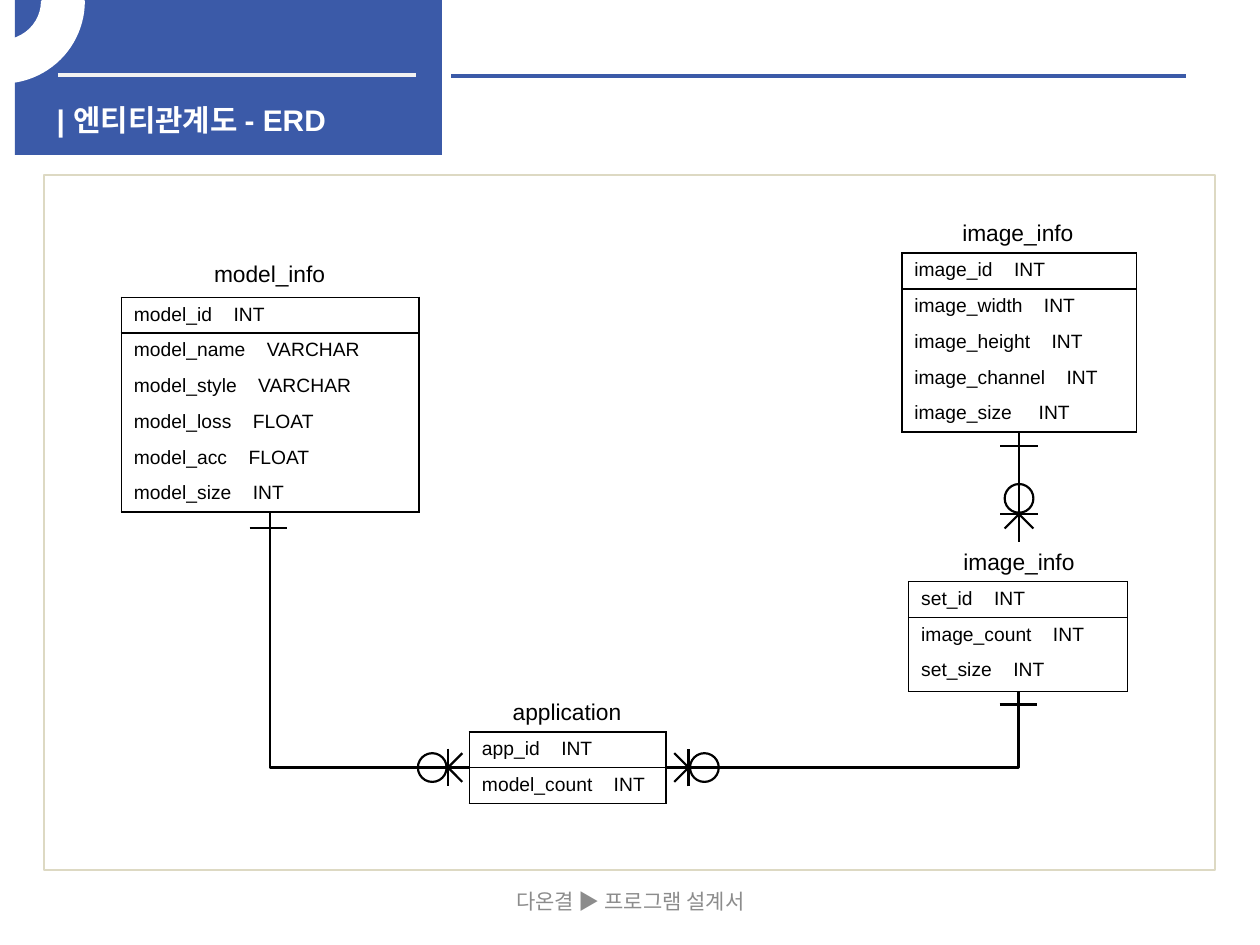
"""Build a slide with an entity relationship diagram for models, images and applications."""
from dataclasses import dataclass

from lxml import etree
from pptx import Presentation
from pptx.dml.color import RGBColor
from pptx.enum.shapes import MSO_CONNECTOR, MSO_SHAPE
from pptx.enum.text import MSO_ANCHOR, PP_ALIGN
from pptx.oxml.ns import qn
from pptx.util import Pt

STRAIGHT, ELBOW = MSO_CONNECTOR.STRAIGHT, MSO_CONNECTOR.ELBOW
RECTANGLE, OVAL, BLOCK_ARC = MSO_SHAPE.RECTANGLE, MSO_SHAPE.OVAL, MSO_SHAPE.BLOCK_ARC
LEFT, CENTER = PP_ALIGN.LEFT, PP_ALIGN.CENTER
TOP, MIDDLE = MSO_ANCHOR.TOP, MSO_ANCHOR.MIDDLE
COLORS = {"blue": "3B5AA8", "white": "FFFFFF", "pale": "F2F2F2",
          "gray": "8C8C8C", "beige": "DDD9C3", "black": "000000"}
LATIN, KOREAN = "Arial", "Noto Sans CJK KR"
LINE_WIDTH = 1.25
BAR_HALF = 10.8
TOE = 8.2
TABLE_FORMAT = {"first_row": False, "horz_banding": False}


@dataclass
class Entity:
    name: str
    left: float
    top: float
    width: float
    label_center: float
    label_top: float
    row_heights: list[float]
    fields: list[str]


@dataclass
class CrowFoot:
    x: float
    y: float
    toward_x: int
    toward_y: int


ENTITIES = [
    Entity("model_info", 69.3, 169.9, 170, 154, 144.7, [19.9] * 6,
           ["model_id    INT", "model_name    VARCHAR", "model_style    VARCHAR",
            "model_loss    FLOAT", "model_acc    FLOAT", "model_size    INT"]),
    Entity("image_info", 515.3, 144.6, 134, 581.6, 121.7, [20.45] * 5,
           ["image_id    INT", "image_width    INT", "image_height    INT",
            "image_channel    INT", "image_size     INT"]),
    Entity("image_info", 519.2, 332.4, 125, 582.2, 309.6, [20.45, 20.45, 21.8],
           ["set_id    INT", "image_count    INT", "set_size    INT"]),
    Entity("application", 268.2, 418.2, 112.4, 324, 395.3, [20.45] * 2,
           ["app_id    INT", "model_count    INT"]),
]
CROW_FEET = [CrowFoot(393.5, 438.6, -1, 0), CrowFoot(256, 438.6, 1, 0),
             CrowFoot(582.3, 293.8, 0, 1)]
ONE_BARS = [(582.5, 254.9), (582, 402.6), (153.4, 301.5)]


def rgb(name: str) -> RGBColor:
    return RGBColor.from_string(COLORS[name])


def write(shape, text: str, size: float, color: str = "black", bold: bool = False,
          alignment=LEFT, anchor=TOP, font_name: str = LATIN) -> None:
    frame = shape.text_frame
    frame.word_wrap = True
    frame.vertical_anchor = anchor
    paragraph = frame.paragraphs[0]
    paragraph.alignment = alignment
    run = paragraph.add_run()
    run.text = text
    run.font.color.rgb = rgb(color)
    for attribute, value in {"name": font_name, "size": Pt(size), "bold": bold}.items():
        setattr(run.font, attribute, value)
    etree.SubElement(run.font._element, qn("a:ea"), typeface=KOREAN)


def place(shape, left: float, top: float, width: float, height: float) -> None:
    box = {"left": left, "top": top, "width": width, "height": height}
    for attribute, value in box.items():
        setattr(shape, attribute, Pt(value))


def add_label(slide, left: float, top: float, width: float, height: float,
              text: str, size: float, **options):
    box = slide.shapes.add_textbox(Pt(left), Pt(top), Pt(width), Pt(height))
    write(box, text, size, alignment=CENTER, **options)


def add_figure(slide, kind, left: float, top: float, width: float, height: float,
               fill: str | None = None, line: str | None = None, weight: float = LINE_WIDTH):
    shape = slide.shapes.add_shape(kind, Pt(left), Pt(top), Pt(width), Pt(height))
    shape.shadow.inherit = False
    for target, color in ((shape.fill, fill), (shape.line.fill, line)):
        if color:
            target.solid()
            target.fore_color.rgb = rgb(color)
        else:
            target.background()
    if line:
        shape.line.width = Pt(weight)
    return shape


def add_line(slide, x1: float, y1: float, x2: float, y2: float,
             color: str = "black", weight: float = LINE_WIDTH, kind=STRAIGHT):
    connector = slide.shapes.add_connector(kind, Pt(x1), Pt(y1), Pt(x2), Pt(y2))
    connector.line.color.rgb = rgb(color)
    connector.line.width = Pt(weight)
    etree.SubElement(connector._element.spPr, qn("a:effectLst"))
    return connector


def add_elbow(slide, x1: float, y1: float, x2: float, y2: float, rotation: int = 0) -> None:
    properties = add_line(slide, x1, y1, x2, y2, kind=ELBOW)._element.spPr
    properties.find(qn("a:prstGeom")).set("prst", "bentConnector2")
    if rotation:
        properties.find(qn("a:xfrm")).set("rot", str(rotation * 60000))


def set_borders(cell, sides: str) -> None:
    properties = cell._tc.get_or_add_tcPr()
    for index, side in enumerate("LRTB"):
        line = etree.Element(qn(f"a:ln{side}"), w=str(Pt(1)))
        if side in sides:
            fill = etree.SubElement(line, qn("a:solidFill"))
            etree.SubElement(fill, qn("a:srgbClr"), val=COLORS["black"])
        else:
            etree.SubElement(line, qn("a:noFill"))
        properties.insert(index, line)


def add_entity(slide, entity: Entity) -> None:
    count = len(entity.fields)
    frame = slide.shapes.add_table(count, 1, Pt(entity.left), Pt(entity.top),
                                   Pt(entity.width), Pt(sum(entity.row_heights)))
    table = frame.table
    for attribute, value in TABLE_FORMAT.items():
        setattr(table, attribute, value)
    for index, (field, height) in enumerate(zip(entity.fields, entity.row_heights)):
        table.rows[index].height = Pt(height)
        cell = table.cell(index, 0)
        write(cell, field, 11)
        cell.fill.background()
        top = "T" if index < 2 else ""
        bottom = "B" if index in (0, count - 1) else ""
        set_borders(cell, "LR" + top + bottom)
    add_label(slide, entity.label_center - 74.5, entity.label_top, 149, 23, entity.name, 13)


def add_crow_foot(slide, foot: CrowFoot) -> None:
    x, y, dx, dy = foot.x, foot.y, foot.toward_x, foot.toward_y
    add_line(slide, x - dy * BAR_HALF, y - dx * BAR_HALF, x + dy * BAR_HALF, y + dx * BAR_HALF)
    add_figure(slide, OVAL, x - 9 * dx - TOE, y - 9 * dy - TOE, 2 * TOE, 2 * TOE, line="black")
    for side in (-1, 1):
        add_line(slide, x, y, x + TOE * (dx + side * dy), y + TOE * (dy + side * dx))


def main() -> None:
    presentation = Presentation()
    presentation.slide_width, presentation.slide_height = Pt(720), Pt(540)
    slide = presentation.slides.add_slide(presentation.slide_layouts[5])

    banner = add_figure(slide, RECTANGLE, 8.6, 0, 244, 88.6, fill="blue")
    title = slide.shapes.title
    banner._element.addnext(title._element)
    place(title, 25.2, 54.7, 226.8, 23)
    write(title, "| 엔티티관계도 - ERD", 17, "white", bold=True)
    add_line(slide, 33.1, 42.8, 237.6, 42.8, "pale", 2.25)
    add_line(slide, 257.8, 43.2, 677.5, 43.2, "blue", 2.25)
    ring = add_figure(slide, BLOCK_ARC, -45.4, -45.4, 92.9, 92.2, "white", "white", 2)
    for index, value in enumerate((96.95, 0, 0.25)):
        ring.adjustments[index] = value
    ring._element.spPr.find(qn("a:xfrm")).set("flipV", "1")
    add_label(slide, 246.2, 500.4, 228.2, 28.8, "다온결 ▶ 프로그램 설계서", 12,
              color="gray", anchor=MIDDLE, font_name=KOREAN)

    for entity in ENTITIES:
        add_entity(slide, entity)
    add_elbow(slide, 380.6, 438.6, 582, 395.3)
    add_elbow(slide, 154.1, 292.5, 268.2, 438.6, rotation=180)
    add_line(slide, 582.3, 309.6, 582.3, 246.6)
    for x, y in ONE_BARS:
        add_line(slide, x - BAR_HALF, y, x + BAR_HALF, y)
    for foot in CROW_FEET:
        add_crow_foot(slide, foot)
    add_figure(slide, RECTANGLE, 25.2, 100, 669, 397.4, line="beige")

    presentation.save("out.pptx")


if __name__ == "__main__":
    main()
